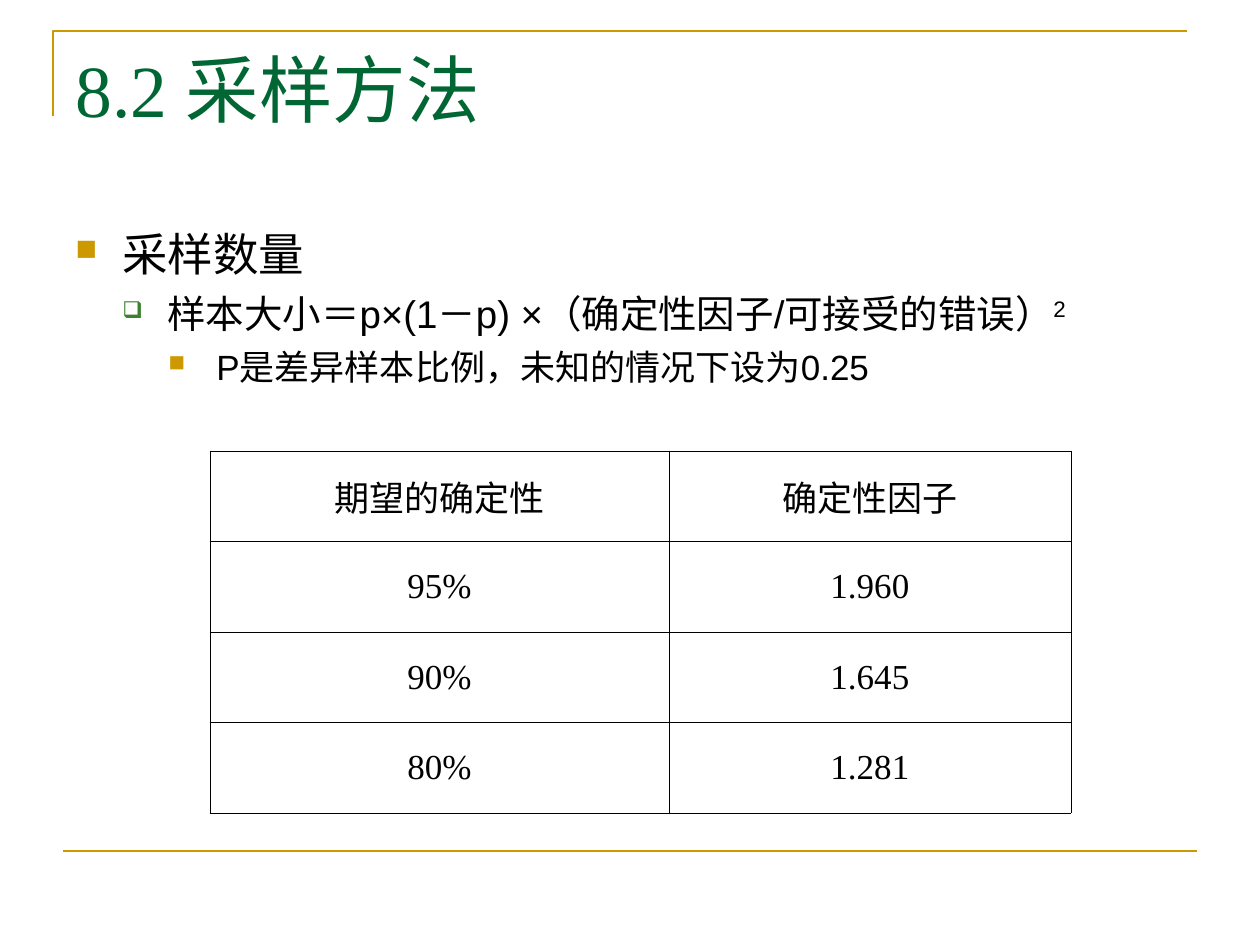
"""Build the slide on sampling methods with its certainty factor table."""
import lxml.etree
import pptx
import pptx.dml.color
import pptx.enum.shapes
import pptx.enum.text
import pptx.oxml.ns
import pptx.util

RGBColor = pptx.dml.color.RGBColor
GOLD = RGBColor(0xCC, 0x99, 0x00)
DARK_GREEN = RGBColor(0x00, 0x66, 0x33)
LEAF_GREEN = RGBColor(0x3B, 0x81, 0x2F)
BLACK = RGBColor(0, 0, 0)
WHITE = RGBColor(255, 255, 255)
SERIF, SANS = "Times New Roman", "Arial"

TITLE = "8.2 采样方法"
BULLETS = [
    {"runs": [("采样数量", 0)], "size": 26, "before": 0,
     "left": 47, "hang": 47, "mark": "■", "color": GOLD, "percent": 65},
    {"runs": [("样本大小＝p×(1－p) ×（确定性因子/可接受的错误）", 0), ("2", 30)],
     "size": 22, "before": 5.5,
     "left": 92, "hang": 45, "mark": "❑", "color": LEAF_GREEN, "percent": 60},
    {"runs": [("P是差异样本比例，未知的情况下设为0.25", 0)], "size": 20, "before": 5,
     "left": 141, "hang": 48, "mark": "■", "color": GOLD, "percent": 65},
]
TABLE = [
    ("期望的确定性", "确定性因子"),
    ("95%", "1.960"),
    ("90%", "1.645"),
    ("80%", "1.281"),
]
SLIDE_SIZE = (1260, 945)
CORNER = [(53, 116), (53, 31), (1187, 31)]
FOOT_LINE = (63, 851, 1197, 851)
TITLE_BOX = (63, 38, 1134, 157)
BODY_BOX = (63, 220, 1144, 624)
TABLE_CORNER = (210, 451)
COLUMN_WIDTHS = (459, 402)
TABLE_HEIGHT = 362
EMU_PER_PX = 914400 / 126


def emu(px):
    return pptx.util.Emu(round(px * EMU_PER_PX))


def add_child(parent, tag, **attributes):
    child = lxml.etree.SubElement(parent, pptx.oxml.ns.qn(tag))
    for name, value in attributes.items():
        child.set(name, str(value))
    return child


def add_run(paragraph, text, size, font, color, baseline=0):
    run = paragraph.add_run()
    run.text = text
    run.font.size = pptx.util.Pt(size)
    run.font.name = font
    run.font.color.rgb = color
    if baseline:
        run.font._element.set("baseline", str(baseline * 1000))


def add_text_frame(slide, box):
    frame = slide.shapes.add_textbox(*map(emu, box)).text_frame
    frame.word_wrap = True
    return frame


def style_line(shape):
    shape.line.color.rgb = GOLD
    shape.line.width = pptx.util.Pt(1.5)


def add_frame_lines(slide):
    builder = slide.shapes.build_freeform(*CORNER[0], scale=EMU_PER_PX)
    builder.add_line_segments(CORNER[1:], close=False)
    corner = builder.convert_to_shape()
    corner.fill.background()
    corner.shadow.inherit = False
    style_line(corner)
    foot = slide.shapes.add_connector(
        pptx.enum.shapes.MSO_CONNECTOR.STRAIGHT, *map(emu, FOOT_LINE))
    style_line(foot)
    add_child(foot._element.spPr, "a:effectLst")


def add_bullet(paragraph, level, item):
    paragraph.level = level
    paragraph.space_before = pptx.util.Pt(item["before"])
    properties = paragraph._p.get_or_add_pPr()
    properties.set("marL", str(emu(item["left"])))
    properties.set("indent", str(-emu(item["hang"])))
    color = add_child(properties, "a:buClr")
    add_child(color, "a:srgbClr", val=item["color"])
    add_child(properties, "a:buSzPct", val=item["percent"] * 1000)
    add_child(properties, "a:buChar", char=item["mark"])
    for text, baseline in item["runs"]:
        add_run(paragraph, text, item["size"], SANS, BLACK, baseline)


def add_borders(cell):
    properties = cell._tc.get_or_add_tcPr()
    for index, side in enumerate(("a:lnL", "a:lnR", "a:lnT", "a:lnB")):
        border = add_child(properties, side, w=pptx.util.Pt(0.45))
        fill = add_child(border, "a:solidFill")
        add_child(fill, "a:srgbClr", val=BLACK)
        properties.insert(index, border)


def add_factor_table(slide):
    table = slide.shapes.add_table(
        len(TABLE), len(COLUMN_WIDTHS), *map(emu, TABLE_CORNER),
        emu(sum(COLUMN_WIDTHS)), emu(TABLE_HEIGHT)).table
    table.first_row = False
    table.horz_banding = False
    for column, width in zip(table.columns, COLUMN_WIDTHS):
        column.width = emu(width)
    for row, values in zip(table.rows, TABLE):
        row.height = emu(TABLE_HEIGHT / len(TABLE))
        for cell, value in zip(row.cells, values):
            cell.fill.solid()
            cell.fill.fore_color.rgb = WHITE
            cell.vertical_anchor = pptx.enum.text.MSO_ANCHOR.MIDDLE
            add_borders(cell)
            paragraph = cell.text_frame.paragraphs[0]
            paragraph.alignment = pptx.enum.text.PP_ALIGN.CENTER
            add_run(paragraph, value, 20, SERIF, BLACK)


def main():
    presentation = pptx.Presentation()
    presentation.slide_width, presentation.slide_height = map(emu, SLIDE_SIZE)
    slide = presentation.slides.add_slide(presentation.slide_layouts[6])
    add_frame_lines(slide)
    title = add_text_frame(slide, TITLE_BOX)
    add_run(title.paragraphs[0], TITLE, 42, SERIF, DARK_GREEN)
    body = add_text_frame(slide, BODY_BOX)
    for level, item in enumerate(BULLETS):
        paragraph = body.add_paragraph() if level else body.paragraphs[0]
        add_bullet(paragraph, level, item)
    add_factor_table(slide)
    presentation.save("out.pptx")


if __name__ == "__main__":
    main()
